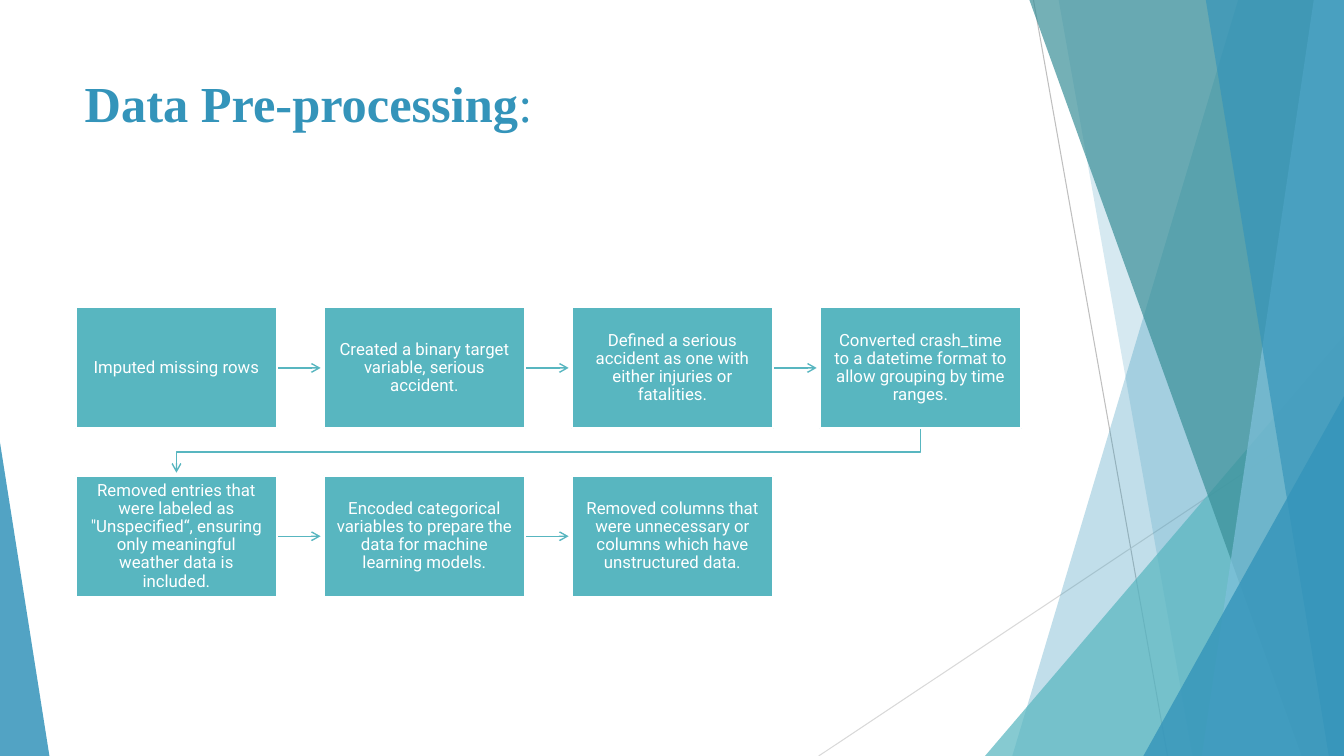
from dataclasses import dataclass

from pptx import Presentation
from pptx.dml.color import RGBColor as RGB
from pptx.enum.shapes import MSO_CONNECTOR as CONNECTOR, MSO_SHAPE as SHAPE
from pptx.enum.text import MSO_ANCHOR as ANCHOR, PP_ALIGN as ALIGN
from pptx.oxml.ns import qn
from pptx.util import Inches, Pt
from lxml.etree import SubElement

# Content
TITLE = ("Data Pre-processing", ":")
STEPS = [
    "Imputed missing rows",
    "Created a binary target variable, serious accident.",
    "Defined a serious accident as one with either injuries or fatalities.",
    "Converted crash_time to a datetime format to allow grouping by time ranges.",
    "Removed entries that were labeled as \"Unspecified“, ensuring only "
    "meaningful weather data is included.",
    "Encoded categorical variables to prepare the data for machine learning models.",
    "Removed columns that were unnecessary or columns which have unstructured data.",
]


@dataclass(frozen=True)
class Theme:
    blue: str = "3494BA"
    teal: str = "58B6C0"
    dark_teal: str = "3A8F98"
    light_blue: str = "7FC1DB"
    white: str = "FFFFFF"
    grey: str = "BFBFBF"
    light_grey: str = "D9D9D9"
    title_font: str = "Times New Roman"
    step_font: str = "Roboto"
    title_size: float = 36
    step_size: float = 12


THEME = Theme()
WIDTH, HEIGHT = 13.33, 7.5

# Backdrop: lines, then facets from back to front
RAYS = [((10.25, 0), (11.58, HEIGHT), THEME.grey),
        ((WIDTH, 4.03), (8.12, HEIGHT), THEME.light_grey)]
# Band: top-left x, bottom-left x, colour, opacity; all run to the right edge
# Wedge: left, top, width, apex position, colour, opacity; all stand on the bottom
FACETS = [
    ("band", 12.28, 10.04, THEME.blue, 30),
    ("band", 10.5, 11.83, THEME.blue, 20),
    ("wedge", 9.77, 3.33, 3.56, 1, THEME.teal, 72),
    ("band", 10.21, 12.91, THEME.dark_teal, 70),
    ("band", 13.03, 11.92, THEME.light_blue, 70),
    ("band", 11.96, 13.18, THEME.blue, 65),
    ("wedge", 11.34, 3.93, 1.99, 1, THEME.blue, 80),
    ("wedge", 0, 4.39, 0.49, 0, THEME.blue, 85),
]

# Step grid
COLUMNS = 4
LEFT, TOP = 0.75, 3.05
BOX_W, BOX_H = 2, 1.2
STEP_X, STEP_Y = 2.46, 1.67
ARROW_GAP = 0.03

prs = Presentation()
prs.slide_width, prs.slide_height = Inches(WIDTH), Inches(HEIGHT)
slide = prs.slides.add_slide(prs.slide_layouts[5])
shapes = slide.shapes


def apply(target, formats):
    for attribute, value in formats.items():
        setattr(target, attribute, value)


def style_font(font, name, size, color, bold=False):
    apply(font, {"name": name, "size": Pt(size), "bold": bold})
    font.color.rgb = RGB.from_string(color)


def style_line(shape, color, width, arrow=False):
    shape.line.color.rgb = RGB.from_string(color)
    shape.line.width = Pt(width)
    if arrow:
        SubElement(shape._element.spPr.find(qn("a:ln")), qn("a:tailEnd"), type="arrow")


def style_fill(shape, color, opacity=100):
    shape.shadow.inherit = False
    shape.fill.solid()
    shape.fill.fore_color.rgb = RGB.from_string(color)
    if opacity < 100:
        tint = shape._element.spPr.find(qn("a:solidFill")).find(qn("a:srgbClr"))
        SubElement(tint, qn("a:alpha"), val=str(opacity * 1000))


def add_line(start, end, color, width, arrow=False):
    ends = [Inches(v) for v in (*start, *end)]
    line = shapes.add_connector(CONNECTOR.STRAIGHT, *ends)
    style_line(line, color, width, arrow)
    SubElement(line._element.spPr, qn("a:effectLst"))


def add_outline(points, close):
    corners = [(Inches(x), Inches(y)) for x, y in points]
    builder = shapes.build_freeform(*corners[0], scale=1.0)
    builder.add_line_segments(corners[1:], close=close)
    return builder.convert_to_shape()


def add_band(top_x, bottom_x):
    return add_outline([(top_x, 0), (WIDTH, 0), (WIDTH, HEIGHT), (bottom_x, HEIGHT)], True)


def add_wedge(left, top, width, apex):
    box = [Inches(v) for v in (left, top, width, HEIGHT - top)]
    wedge = shapes.add_shape(SHAPE.ISOSCELES_TRIANGLE, *box)
    wedge.adjustments[0] = apex
    return wedge


def add_step(x, y, wording):
    step = shapes.add_shape(SHAPE.RECTANGLE, *[Inches(v) for v in (x, y, BOX_W, BOX_H)])
    style_fill(step, THEME.teal)
    style_line(step, THEME.white, 1.5)
    frame = step.text_frame
    apply(frame, {"word_wrap": True, "vertical_anchor": ANCHOR.MIDDLE})
    apply(frame, {f"margin_{side}": Inches(0.1) for side in ("left", "right", "top", "bottom")})
    paragraph = frame.paragraphs[0]
    apply(paragraph, {"text": wording, "alignment": ALIGN.CENTER, "line_spacing": 0.9})
    style_font(paragraph.runs[0].font, THEME.step_font, THEME.step_size, THEME.white)


# Backdrop
for start, end, color in RAYS:
    add_line(start, end, color, 0.75)
for kind, *geometry, color, opacity in FACETS:
    facet = (add_band if kind == "band" else add_wedge)(*geometry)
    style_fill(facet, color, opacity)
    facet.line.fill.background()

# Title
title = shapes.title
apply(title, {"left": Inches(0.74), "top": Inches(0.67),
              "width": Inches(9.4), "height": Inches(1.44)})
apply(title.text_frame, {"vertical_anchor": ANCHOR.TOP, "word_wrap": True})
heading = title.text_frame.paragraphs[0]
heading.alignment = ALIGN.LEFT
for part, bold in zip(TITLE, (True, False)):
    run = heading.add_run()
    run.text = part
    style_font(run.font, THEME.title_font, THEME.title_size, THEME.blue, bold)

# Steps, each with the arrow to the next
for index, wording in enumerate(STEPS):
    row, column = divmod(index, COLUMNS)
    x, y = LEFT + column * STEP_X, TOP + row * STEP_Y
    if index < len(STEPS) - 1:
        if column < COLUMNS - 1:
            middle = y + BOX_H / 2
            add_line((x + BOX_W, middle), (x + STEP_X - ARROW_GAP, middle), THEME.teal, 1, True)
        else:
            here, first = x + BOX_W / 2, LEFT + BOX_W / 2
            bottom, below = y + BOX_H, y + STEP_Y
            turn = (bottom + below) / 2
            wrap = add_outline([(here, bottom), (here, turn), (first, turn),
                                (first, below - ARROW_GAP)], False)
            wrap.fill.background()
            wrap.shadow.inherit = False
            style_line(wrap, THEME.teal, 1, True)
    add_step(x, y, wording)

prs.save("out.pptx")
